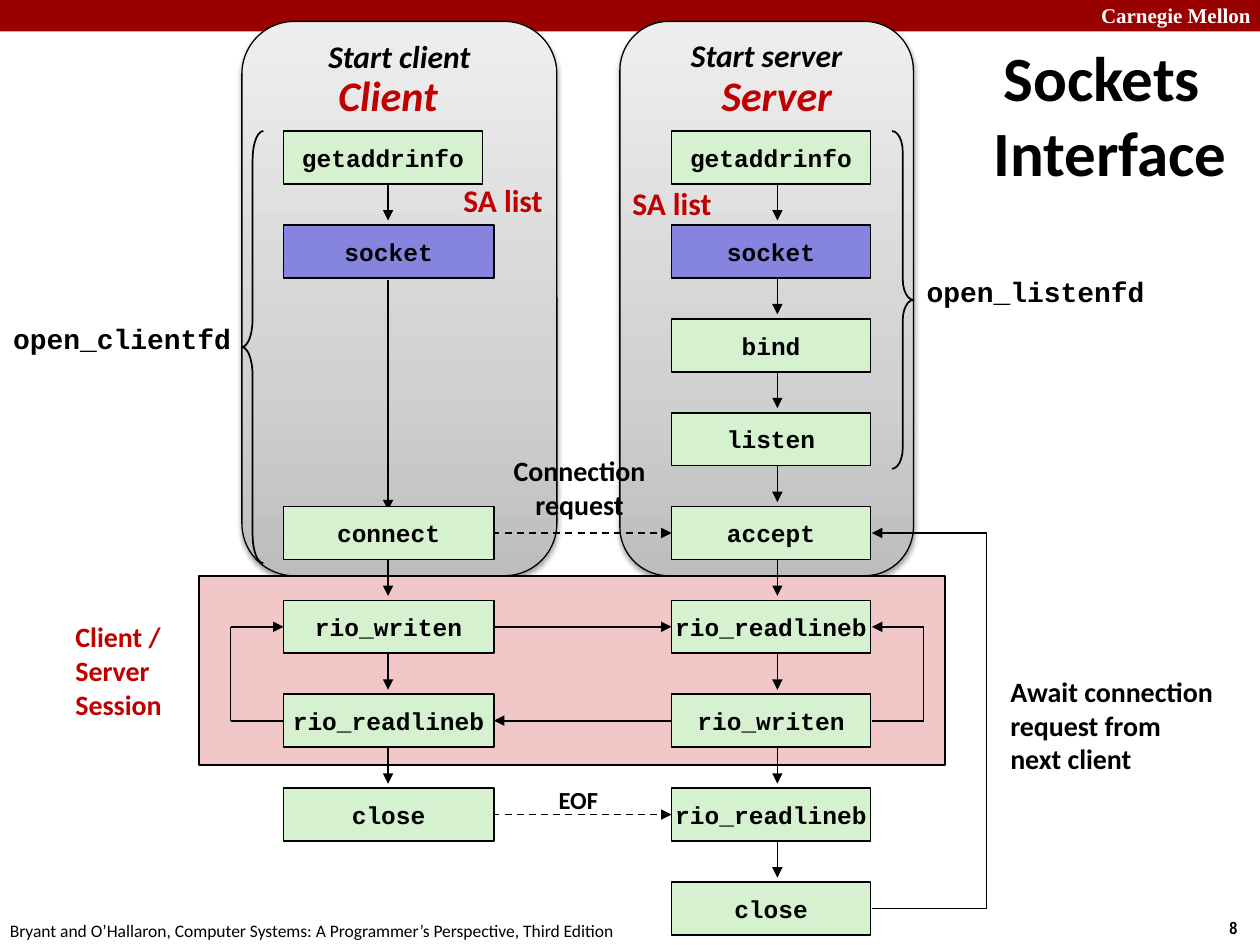
from lxml import etree
from pptx import Presentation
from pptx.dml.color import RGBColor
from pptx.enum import dml, shapes, text
from pptx.oxml import parse_xml
from pptx.oxml.ns import nsdecls, qn
from pptx.util import Inches, Pt

BLACK, RED, WHITE = "000000", "C00000", "FFFFFF"
GREEN, BLUE, PINK = "D5F1CF", "8585E0", "F1C7C7"
SANS, MONO = "Calibri", "Courier New"
LEFT, CENTER = text.PP_ALIGN.LEFT, text.PP_ALIGN.CENTER
TOP, MIDDLE = text.MSO_ANCHOR.TOP, text.MSO_ANCHOR.MIDDLE
CLIENT_X, SERVER_X = 2.25, 5.33
CLIENT_MID, SERVER_MID = 3.08, 6.17
CLIENT_RIGHT, SERVER_RIGHT = 3.92, 6.92
BOX_H = 0.42
CLIENT_STEPS = {0: "getaddrinfo", 1: "socket", 4: "connect", 5: "rio_writen",
                6: "rio_readlineb", 7: "close"}
SERVER_STEPS = ["getaddrinfo", "socket", "bind", "listen", "accept",
                "rio_readlineb", "rio_writen", "rio_readlineb", "close"]


def color(value):
    """Return the colour for a hex string."""
    return RGBColor.from_string(value)


def row_top(row):
    """Return the top of a row of call boxes."""
    return 1.04 + 0.745 * row


def row_mid(row):
    """Return the height at which lines meet a row of call boxes."""
    return row_top(row) + 0.21


def write(sp, lines, size, fill=BLACK, font=SANS, align=LEFT, anchor=MIDDLE,
          bold=True, italic=False, wrap=False):
    """Write lines of text, one paragraph each, into a shape."""
    tf = sp.text_frame
    tf.word_wrap = wrap
    tf.vertical_anchor = anchor
    for i, line in enumerate(lines):
        p = tf.add_paragraph() if i else tf.paragraphs[0]
        p.alignment = align
        r = p.add_run()
        r.text = line
        r.font.name, r.font.size = font, Pt(size)
        r.font.bold, r.font.italic = bold, italic
        r.font.color.rgb = color(fill)


def add_label(s, box, lines, size, **style):
    """Add a text box."""
    write(s.shapes.add_textbox(*map(Inches, box)), lines, size, **style)


def add_shape(s, kind, box, fill=None, line=BLACK, width=1):
    """Add a preset shape without a shadow."""
    sp = s.shapes.add_shape(kind, *map(Inches, box))
    sp.shadow.inherit = False
    if fill:
        sp.fill.solid()
        sp.fill.fore_color.rgb = color(fill)
    else:
        sp.fill.background()
    if line:
        sp.line.color.rgb = color(line)
        sp.line.width = Pt(width)
    else:
        sp.line.fill.background()
    return sp


def add_panel(s, box, heading):
    """Add a shaded rounded panel with its heading."""
    sp = add_shape(s, shapes.MSO_SHAPE.ROUNDED_RECTANGLE, box, width=0.75)
    stops = "".join(
        f'<a:gs pos="{pos}"><a:srgbClr val="{value}"/></a:gs>'
        for pos, value in [(0, "BDBDBD"), (35000, "D1D1D1"), (100000, "EEEEEE")])
    props = sp._element.spPr
    props.replace(props.find(qn("a:noFill")), parse_xml(
        f'<a:gradFill {nsdecls("a")} rotWithShape="1"><a:gsLst>{stops}</a:gsLst>'
        '<a:lin ang="16200000" scaled="0"/></a:gradFill>'))
    props.find(qn("a:effectLst")).append(parse_xml(
        f'<a:outerShdw {nsdecls("a")} blurRad="{Pt(3.1)}" dist="{Pt(1.6)}" '
        'dir="5400000" rotWithShape="0"><a:srgbClr val="000000">'
        '<a:alpha val="38000"/></a:srgbClr></a:outerShdw>'))
    sp.text_frame.margin_top = 0
    write(sp, [heading], 18, align=CENTER, anchor=TOP, italic=True, wrap=True)


def add_brace(s, kind, box, curve):
    """Add a curly brace."""
    sp = add_shape(s, kind, box)
    sp.adjustments[0] = curve


def add_call(s, x, row, width, name):
    """Add a box naming one function call."""
    fill = BLUE if name == "socket" else GREEN
    sp = add_shape(s, shapes.MSO_SHAPE.RECTANGLE, (x, row_top(row), width, BOX_H), fill)
    write(sp, [name], 14, font=MONO, align=CENTER)


def add_line(s, start, end, arrow=True, dashed=False):
    """Add a straight line, by default with an arrowhead at its end."""
    cx = s.shapes.add_connector(shapes.MSO_CONNECTOR.STRAIGHT,
                                *map(Inches, (*start, *end)))
    cx.line.color.rgb = color(BLACK)
    cx.line.width = Pt(1)
    if dashed:
        cx.line.dash_style = dml.MSO_LINE.DASH
    if arrow:
        etree.SubElement(cx.line._get_or_add_ln(), qn("a:tailEnd"), type="triangle")
    etree.SubElement(cx._element.spPr, qn("a:effectLst"))


def add_loop(s, x, side, start_row, end_row):
    """Add a three-part line leading back to an earlier row."""
    low, high = row_mid(start_row), row_mid(end_row)
    points = [(x, low), (side, low), (side, high), (x, high)]
    for i in range(3):
        add_line(s, points[i], points[i + 1], arrow=i == 2)


def add_title(s):
    """Place and format the slide title."""
    title = s.shapes.title
    title.left, title.top, title.width, title.height = map(
        Inches, (7.58, 0.25, 2.33, 1.31))
    title.text_frame.auto_size = text.MSO_AUTO_SIZE.NONE
    write(title, ["Sockets Interface"], 36, align=CENTER, wrap=True)
    props = title.text_frame.paragraphs[0]._p.get_or_add_pPr()
    props.set("marL", str(Inches(0.13)))
    props.set("indent", str(Inches(-0.13)))


def add_frame(s):
    """Add the top band and the footer."""
    add_shape(s, shapes.MSO_SHAPE.RECTANGLE, (0, 0, 10, 0.25), "990000", line=None)
    add_label(s, (8.64, -0.03, 1.43, 0.3), ["Carnegie Mellon"], 12, fill=WHITE,
              font="Times New Roman", anchor=TOP, wrap=True)
    add_label(s, (9.66, 7.23, 0.34, 0.27), ["8"], 10, font="Arial Narrow", anchor=TOP)
    add_label(s, (-0.02, 7.25, 5.08, 0.27),
              ["Bryant and O’Hallaron, Computer Systems: "
               "A Programmer’s Perspective, Third Edition"],
              10, anchor=TOP, bold=False)


def add_flow(s):
    """Add the arrows and then the call boxes of both columns."""
    add_line(s, (CLIENT_MID, 2.22), (CLIENT_MID, 4.05))
    for mid, rows in [(CLIENT_MID, (0, 4, 5, 6)), (SERVER_MID, range(8))]:
        for row in rows:
            add_line(s, (mid, row_top(row) + 0.37), (mid, row_top(row) + 0.71))
    for row in (4, 7):
        add_line(s, (3.33, row_mid(row)), (SERVER_X, row_mid(row)), dashed=True)
    add_line(s, (CLIENT_RIGHT, row_mid(5)), (SERVER_X, row_mid(5)))
    add_line(s, (SERVER_X, row_mid(6)), (CLIENT_RIGHT, row_mid(6)))
    add_loop(s, SERVER_RIGHT, 7.33, 6, 5)
    add_loop(s, CLIENT_X, 1.83, 6, 5)
    add_loop(s, SERVER_RIGHT, 7.83, 8, 4)
    for row, name in CLIENT_STEPS.items():
        add_call(s, CLIENT_X, row, 1.67 if row else 1.58, name)
    for row, name in enumerate(SERVER_STEPS):
        add_call(s, SERVER_X, row, 1.58, name)


def add_labels(s):
    """Add the headings and notes around the flow."""
    for box, name in [((2.58, 0.5, 1, 0.5), "Client"), ((5.62, 0.5, 1.09, 0.5), "Server")]:
        add_label(s, box, [name], 24, fill=RED, align=CENTER, italic=True)
    for box in [(4.92, 1.41, 0.84, 0.4), (3.58, 1.39, 0.84, 0.4)]:
        add_label(s, box, ["SA list"], 18, fill=RED, anchor=TOP)
    for box, name in [((7.25, 2.13, 1.94, 0.37), "open_listenfd"),
                      ((0, 2.5, 1.94, 0.37), "open_clientfd")]:
        add_label(s, box, [name], 16, font=MONO, align=CENTER)
    add_label(s, (3.97, 3.55, 1.26, 0.64), ["Connection", "request"], 16, align=CENTER)
    add_label(s, (4.33, 6.18, 0.52, 0.34), ["EOF"], 14, align=CENTER)
    add_label(s, (0.5, 4.87, 0.92, 0.9), ["Client / Server", "Session"], 16,
              fill=RED, wrap=True)
    add_label(s, (7.92, 5.3, 1.83, 0.91),
              ["Await connection", "request from", "next client"], 16)


def main():
    """Build the slide and save it."""
    prs = Presentation()
    prs.slide_width, prs.slide_height = Inches(10), Inches(7.5)
    s = prs.slides.add_slide(prs.slide_layouts[5])
    add_title(s)
    add_frame(s)
    add_panel(s, (1.92, 0.17, 2.5, 4.4), "Start client")
    add_panel(s, (4.92, 0.17, 2.33, 4.4), "Start server")
    add_shape(s, shapes.MSO_SHAPE.RECTANGLE, (1.58, 4.57, 5.92, 1.5), PINK)
    add_brace(s, shapes.MSO_SHAPE.RIGHT_BRACE, (7.08, 1.04, 0.17, 2.68), 0.96)
    add_brace(s, shapes.MSO_SHAPE.LEFT_BRACE, (1.92, 1.04, 0.17, 3.43), 1.33)
    add_flow(s)
    add_labels(s)
    prs.save("out.pptx")


if __name__ == "__main__":
    main()
